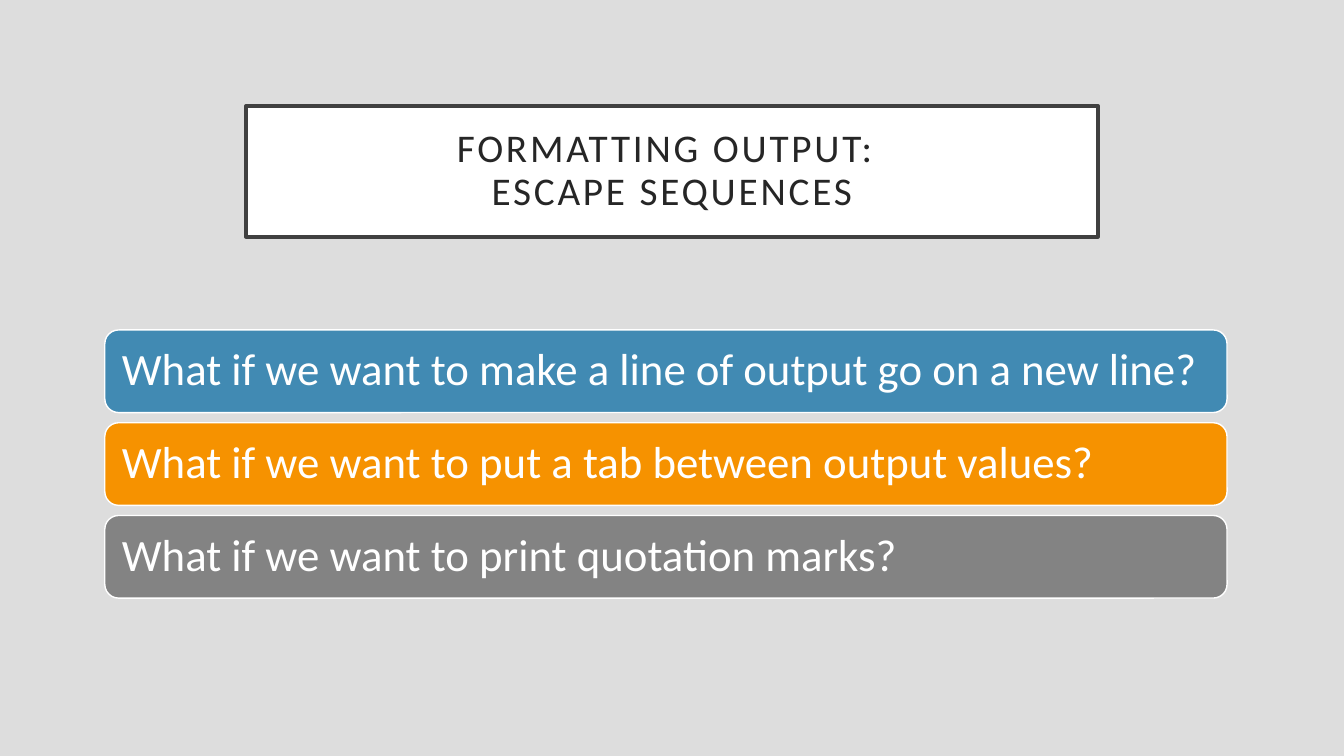
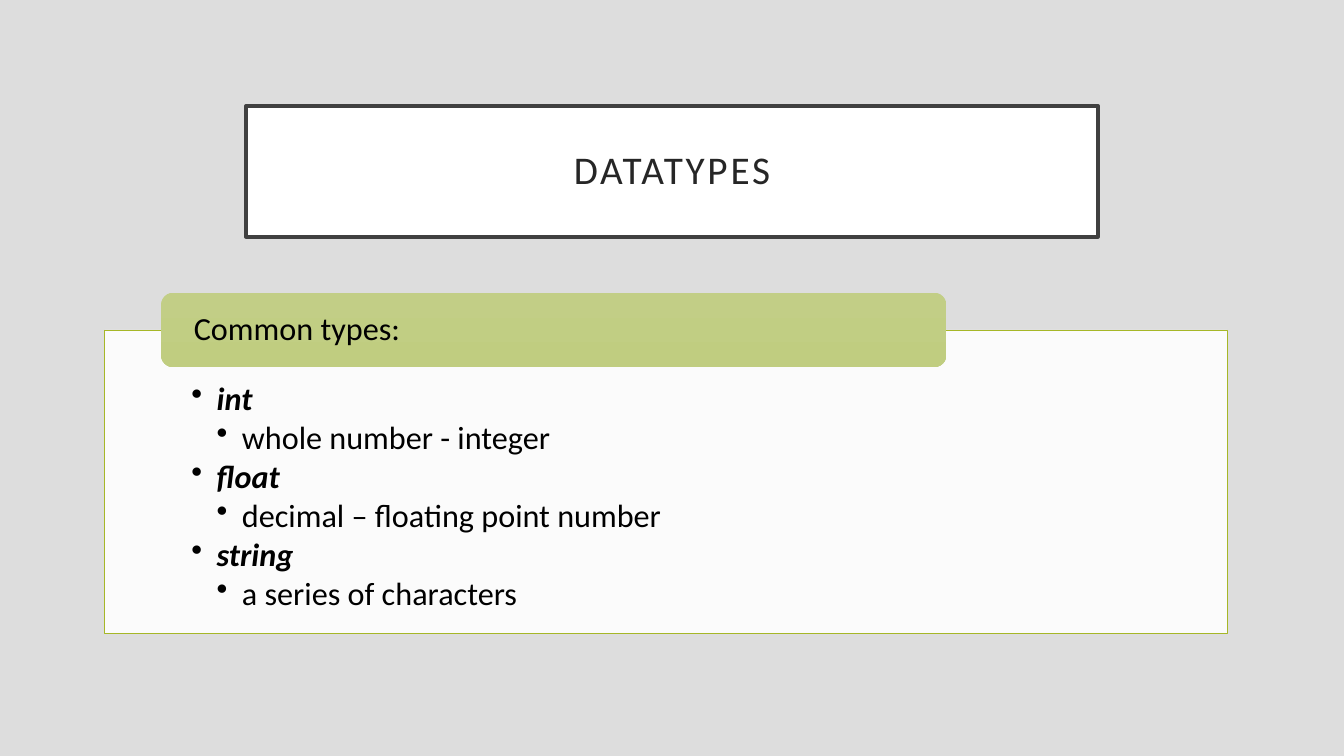
import dataclasses

import lxml.etree
import pptx
import pptx.dml.color
import pptx.enum.shapes
import pptx.enum.text
import pptx.oxml.ns
import pptx.util


@dataclasses.dataclass(frozen=True)
class Theme:
    font: str = "Calibri"
    backdrop: str = "DDDDDD"
    white: str = "FFFFFF"
    black: str = "000000"
    title_ink: str = "262626"
    title_border: str = "404040"
    bars: tuple = ("418AB3", "F69200", "838383")
    panel_border: str = "A6B727"
    tab_shades: tuple = ("C2CE86", "C0CD80")
    title_size: int = 28
    bar_size: int = 32
    list_size: int = 23


THEME = Theme()
RGB = pptx.dml.color.RGBColor.from_string
SHAPES = pptx.enum.shapes.MSO_SHAPE
ALIGN = pptx.enum.text.PP_ALIGN
ANCHOR = pptx.enum.text.MSO_ANCHOR
Inches = pptx.util.Inches
Pt = pptx.util.Pt
qn = pptx.oxml.ns.qn

deck = pptx.Presentation()
deck.slide_width = Inches(13.33)
deck.slide_height = Inches(7.5)


def add_box(page, kind, area, fill, border=None, border_width=1):
    """Add a shape; area is left, top, width, height in percent of the slide."""
    left, top, width, height = area
    box = page.shapes.add_shape(
        kind,
        int(deck.slide_width * left / 100), int(deck.slide_height * top / 100),
        int(deck.slide_width * width / 100), int(deck.slide_height * height / 100))
    box.shadow.inherit = False
    box.fill.solid()
    box.fill.fore_color.rgb = RGB(fill)
    if border:
        box.line.color.rgb = RGB(border)
        box.line.width = Pt(border_width)
    else:
        box.line.fill.background()
    return box


def write(box, lines, size, color, insets, align=ALIGN.LEFT, anchor=ANCHOR.MIDDLE):
    """Fill a box with paragraphs; insets are left, top, right, bottom in inches."""
    frame = box.text_frame
    frame.word_wrap = True
    frame.vertical_anchor = anchor
    (frame.margin_left, frame.margin_top,
     frame.margin_right, frame.margin_bottom) = map(Inches, insets)
    frame.text = "\n".join(lines)
    for para in frame.paragraphs:
        para.alignment = align
        para.line_spacing = 0.9
        for span in para.runs:
            span.font.name = THEME.font
            span.font.size = Pt(size)
            span.font.color.rgb = RGB(color)
    return frame


# Both slides: backdrop and framed title
pages = []
for heading in ("FORMATTING OUTPUT: \vESCAPE SEQUENCES", "DATATYPES"):
    page = deck.slides.add_slide(deck.slide_layouts[6])
    page.background.fill.solid()
    page.background.fill.fore_color.rgb = RGB(THEME.backdrop)
    title = add_box(page, SHAPES.RECTANGLE, (18.3, 14, 63.4, 17.33),
                    THEME.white, THEME.title_border, 2.5)
    frame = write(title, [heading], THEME.title_size, THEME.title_ink,
                  [0.2] * 4, ALIGN.CENTER)
    for span in frame.paragraphs[0].runs:
        span.font.element.set("spc", "200") if hasattr(span.font, "element") \
            else span._r.get_or_add_rPr().set("spc", "200")
    pages.append(page)
questions_page, types_page = pages

BODY_LEFT, BODY_TOP, BODY_WIDTH = 7.8, 43.65, 83.5

# Slide 1: one bar per question
BAR_HEIGHT, BAR_STEP = 10.93, 12.27
questions = (
    "What if we want to make a line of output go on a new line?",
    "What if we want to put a tab between output values?",
    "What if we want to print quotation marks?",
)
for row, (question, color) in enumerate(zip(questions, THEME.bars)):
    bar = add_box(questions_page, SHAPES.ROUNDED_RECTANGLE,
                  (BODY_LEFT, BODY_TOP + row * BAR_STEP, BODY_WIDTH, BAR_HEIGHT),
                  color, THEME.white)
    write(bar, [question], THEME.bar_size, THEME.white, [0.13] * 4)

# Slide 2: panel listing each type above its meaning
datatypes = {
    "int": "whole number - integer",
    "float": "decimal – floating point number",
    "string": "a series of characters",
}
panel = add_box(types_page, SHAPES.RECTANGLE,
                (BODY_LEFT, BODY_TOP, BODY_WIDTH, 40.13),
                THEME.white, THEME.panel_border, 0.5)
panel_color = panel.element.spPr.find(qn("a:solidFill")).find(qn("a:srgbClr"))
lxml.etree.SubElement(panel_color, qn("a:alpha")).set("val", "90000")

lines = [line for pair in datatypes.items() for line in pair]
frame = write(panel, lines, THEME.list_size, THEME.black,
              (0.86, 0.52, 0.86, 0.18), anchor=ANCHOR.TOP)
for index, para in enumerate(frame.paragraphs):
    para.level = 1 + index % 2
    para.space_after = Pt(3)
    is_name = para.level == 1
    para.runs[0].font.bold = is_name
    para.runs[0].font.italic = is_name
    properties = para._p.get_or_add_pPr()
    properties.set("marL", str(Inches(0.25 * para.level)))
    properties.set("indent", str(Inches(-0.25)))
    lxml.etree.SubElement(properties, qn("a:buChar")).set("char", "•")

# Slide 2: tab centred on the panel's top edge
TAB_HEIGHT = 9.87
tab = add_box(types_page, SHAPES.ROUNDED_RECTANGLE,
              (BODY_LEFT + 0.05 * BODY_WIDTH, BODY_TOP - TAB_HEIGHT / 2,
               0.7 * BODY_WIDTH, TAB_HEIGHT), THEME.tab_shades[0])
tab.fill.gradient()
tab.fill.gradient_angle = 270
for stop, shade in zip(tab.fill.gradient_stops, THEME.tab_shades):
    stop.color.rgb = RGB(shade)
write(tab, ["Common types:"], THEME.list_size, THEME.black, (0.29, 0, 0.29, 0))

deck.save("out.pptx")
